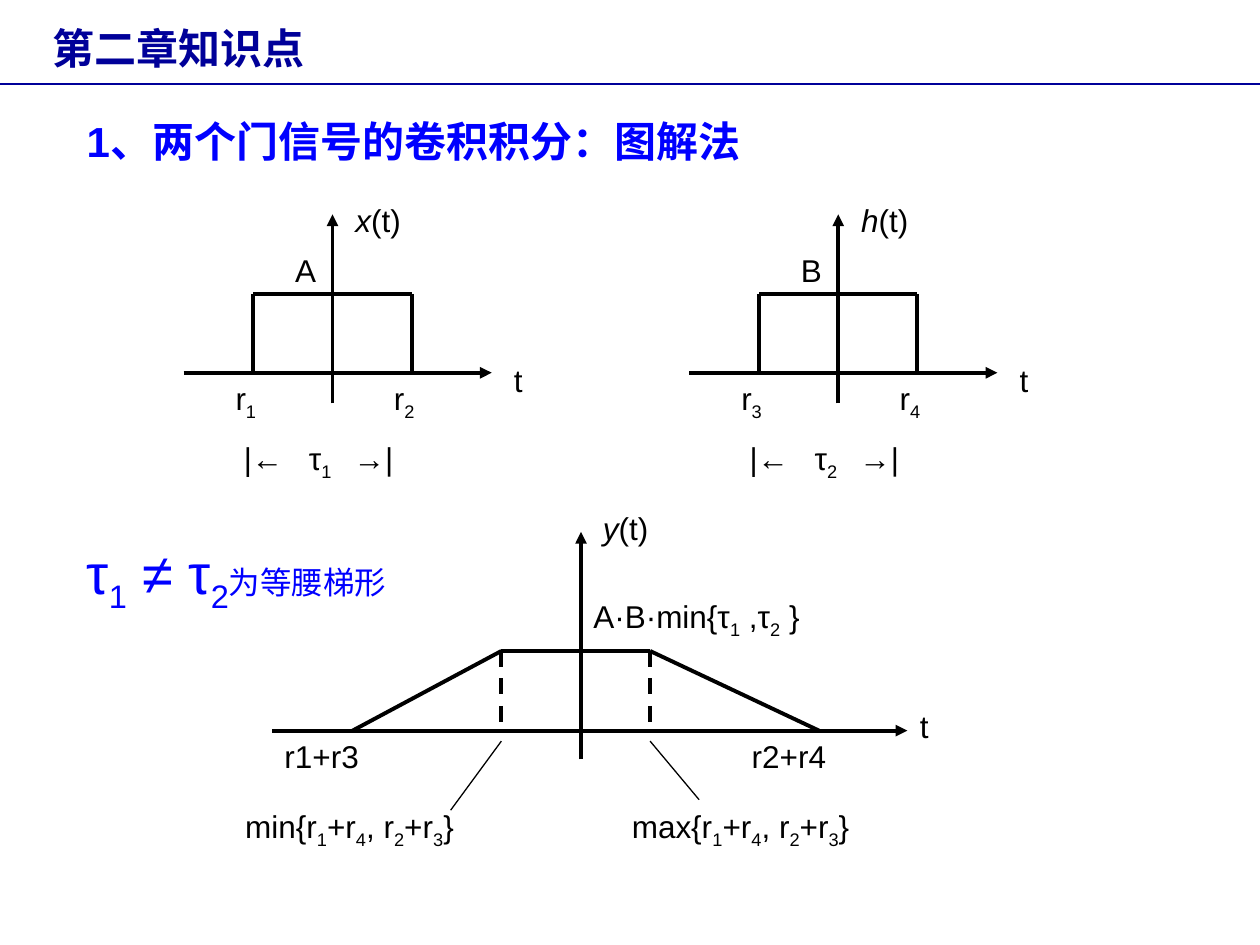
from dataclasses import dataclass

from lxml import etree
from pptx import Presentation
from pptx.dml.color import RGBColor
from pptx.enum.dml import MSO_LINE
from pptx.enum.shapes import MSO_CONNECTOR
from pptx.enum.text import MSO_ANCHOR, MSO_AUTO_SIZE, PP_ALIGN
from pptx.oxml.ns import qn
from pptx.util import Pt

STRAIGHT = MSO_CONNECTOR.STRAIGHT
DASH = MSO_LINE.DASH
LEFT = PP_ALIGN.LEFT
TOP = MSO_ANCHOR.TOP
NO_AUTOFIT = MSO_AUTO_SIZE.NONE
TITLE_ONLY = 5


@dataclass(frozen=True)
class Theme:
    ink: RGBColor = RGBColor(0, 0, 0)
    blue: RGBColor = RGBColor(0, 0, 0xFF)
    navy: RGBColor = RGBColor(0, 0, 0x99)
    font: str = "Arial"
    heading_font: str = "Karla"
    title_font: str = "Times New Roman"
    label_size: float = 18
    heading_size: float = 24
    formula_size: float = 32
    thick: float = 2.25
    thin: float = 0.75


THEME = Theme()
LABEL = dict(name=THEME.font, size=Pt(THEME.label_size), color=THEME.ink)
HEADING = dict(name=THEME.font, size=Pt(THEME.heading_size), color=THEME.blue, bold=True)
FORMULA = dict(name=THEME.font, size=Pt(THEME.formula_size), color=THEME.blue)
TITLE = dict(name=THEME.title_font, size=Pt(THEME.heading_size), color=THEME.navy, bold=True)


@dataclass(frozen=True)
class Line:
    x1: float
    y1: float
    x2: float
    y2: float
    arrow: bool = False
    dashed: bool = False
    width: float = THEME.thick
    color: RGBColor = THEME.ink


@dataclass(frozen=True)
class Label:
    """Text in which _ lowers the next character and / slants it."""
    text: str
    x: float
    y: float
    width: float = 57
    tabs: tuple = ()


@dataclass(frozen=True)
class Gate:
    name: str
    height: str
    start: str
    end: str
    duration: str
    shift: float


def draw_line(shapes, line: Line) -> None:
    connector = shapes.add_connector(
        STRAIGHT, Pt(line.x1), Pt(line.y1), Pt(line.x2), Pt(line.y2))
    connector.line.color.rgb = line.color
    connector.line.width = Pt(line.width)
    if line.dashed:
        connector.line.dash_style = DASH
    if line.arrow:
        etree.SubElement(connector.line._get_or_add_ln(), qn("a:tailEnd"), type="triangle")
    etree.SubElement(connector._element.spPr, qn("a:effectLst"))


def add_run(paragraph, text: str, formats: dict, baseline: int = 0) -> None:
    run = paragraph.add_run()
    run.text = text
    for attribute, value in formats.items():
        if attribute == "color":
            run.font.color.rgb = value
        else:
            setattr(run.font, attribute, value)
    if baseline:
        run.font._element.set("baseline", str(baseline))


def add_marked_text(paragraph, text: str, formats: dict) -> None:
    plain, mark = "", ""
    for character in text:
        if character in "_/":
            if plain:
                add_run(paragraph, plain, formats)
            plain, mark = "", character
        elif mark == "_":
            add_run(paragraph, character, formats, -25000)
            mark = ""
        elif mark == "/":
            add_run(paragraph, character, {**formats, "italic": True})
            mark = ""
        else:
            plain += character
    if plain:
        add_run(paragraph, plain, formats)


def draw_label(shapes, label: Label, formats: dict = LABEL, height: float = 36):
    box = shapes.add_textbox(Pt(label.x), Pt(label.y), Pt(label.width), Pt(height))
    box.text_frame.word_wrap = True
    paragraph = box.text_frame.paragraphs[0]
    if label.tabs:
        tab_list = etree.SubElement(paragraph._p.get_or_add_pPr(), qn("a:tabLst"))
        for position in label.tabs:
            etree.SubElement(tab_list, qn("a:tab"), pos=str(Pt(position)), algn="l")
    add_marked_text(paragraph, label.text, formats)
    return paragraph


def draw_diagram(slide, lines: list[Line], labels: list[Label]) -> None:
    group = slide.shapes.add_group_shape()
    for line in lines:
        draw_line(group.shapes, line)
    for label in labels:
        draw_label(group.shapes, label)


def draw_gate(slide, gate: Gate) -> None:
    origin = 190 + gate.shift
    left, right = origin - 45.25, origin + 45.25
    top, base = 168, 213
    draw_diagram(slide, [
        Line(origin - 85, base, origin + 91, base, arrow=True),
        Line(origin, 230.5, origin, 122.5, arrow=True),
        Line(left, top, right, top),
        Line(left, top, left, base),
        Line(right, top, right, base),
    ], [
        Label(f"/{gate.name}(t)", origin + 6, 111.5),
        Label("t", origin + 96.5, 202.5),
        Label(gate.height, origin - 28.5, 140, 34),
        Label(gate.start, origin - 62.5, base),
        Label(gate.end, origin + 28, base, 51),
        Label(f"/|←\t{gate.duration}\t→|", origin - 58, 247.5, 138, (37.5, 63)),
    ])


def draw_trapezoid(slide) -> None:
    origin, top, base = 332, 372, 417.5
    left, right = 286.5, 371.5
    pointer = base + 6
    draw_diagram(slide, [
        Line(155.5, base, 518.5, base, arrow=True),
        Line(origin, 434, origin, 304, arrow=True),
        Line(left, top, right, top),
        Line(left, top, 201.5, base),
        Line(right, top, 468, base),
        Line(left, top, left, base, dashed=True),
        Line(right, top, right, base, dashed=True),
        Line(left, pointer, 257.5, 463, width=THEME.thin),
        Line(right, pointer, 399.5, 457, width=THEME.thin),
    ], [
        Label("/y(t)", origin + 5.5, 287.5, 114),
        Label("t", 518.5, 400.5),
        Label("A·B·min{τ_1 ,τ_2 }", origin, 337.5, 199),
        Label("r1+r3", 155.5, base, 91),
        Label("r2+r4", 422.5, base, 91),
        Label("min{r_1+r_4, r_2+r_3}", 133, 457.5, 199),
        Label("max{r_1+r_4, r_2+r_3}", 354, 457.5, 199),
    ])


def draw_title(slide) -> None:
    title = slide.shapes.title
    placement = dict(left=Pt(23), top=Pt(9.5), width=Pt(501), height=Pt(36))
    for attribute, value in placement.items():
        setattr(title, attribute, value)
    frame = title.text_frame
    frame.word_wrap = False
    frame.auto_size = NO_AUTOFIT
    frame.vertical_anchor = TOP
    frame.paragraphs[0].alignment = LEFT
    add_run(frame.paragraphs[0], "第二章知识点", TITLE)


def main() -> None:
    presentation = Presentation()
    presentation.slide_width, presentation.slide_height = Pt(720), Pt(540)
    slide = presentation.slides.add_slide(presentation.slide_layouts[TITLE_ONLY])

    # Title, rule and heading
    draw_title(slide)
    draw_line(slide.shapes, Line(0, 48, 720, 48, width=THEME.thin, color=THEME.navy))
    heading = draw_label(slide.shapes, Label("1、", 42.5, 62.5, 487), HEADING)
    add_run(heading, "两个门信号的卷积积分：图解法", {**HEADING, "name": THEME.heading_font})

    # The two gate signals
    for gate in (Gate("x", "A", "r_1", "r_2", "τ_1", 0),
                 Gate("h", "B", "r_3", "r_4", "τ_2", 289)):
        draw_gate(slide, gate)

    # Condition and resulting convolution
    condition = draw_label(slide.shapes, Label("τ_1 ≠ τ_2", 42.5, 304, 218), FORMULA, 45.5)
    add_run(condition, "为等腰梯形", {**LABEL, "color": THEME.blue})
    draw_trapezoid(slide)

    presentation.save("out.pptx")


if __name__ == "__main__":
    main()
